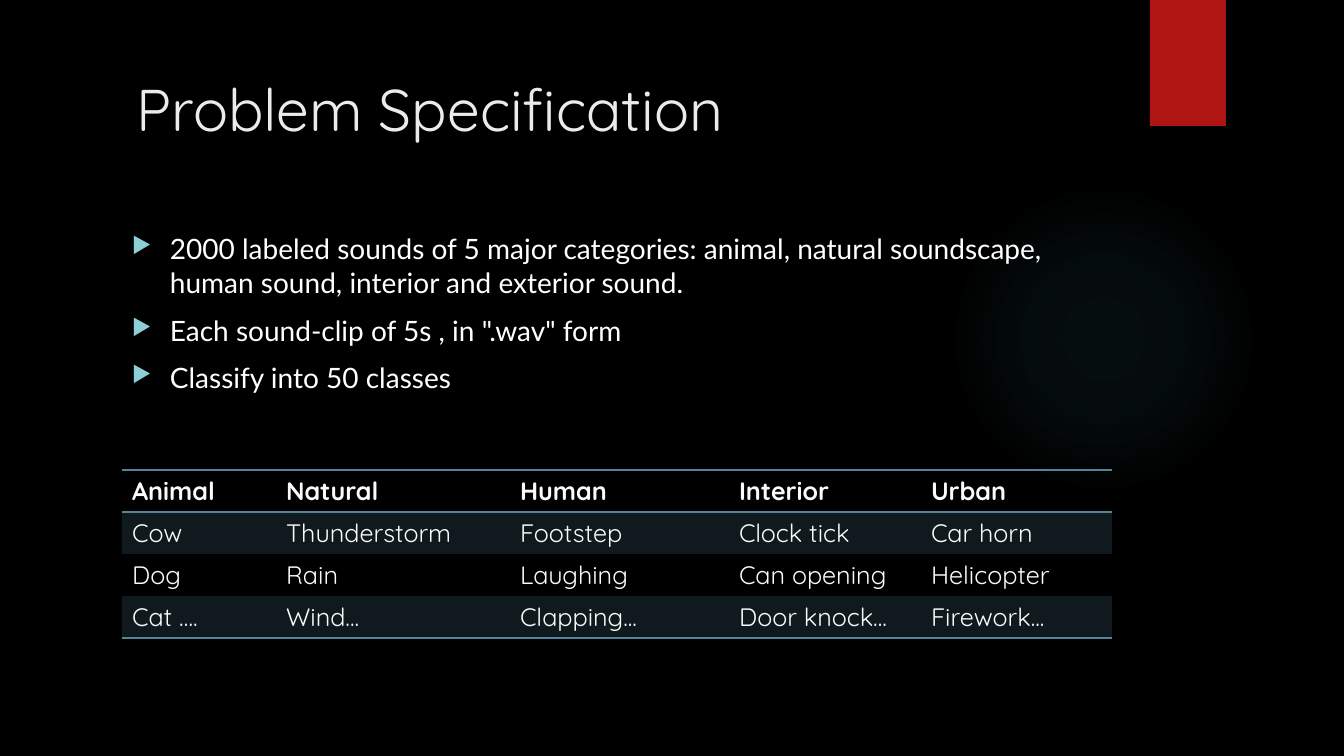
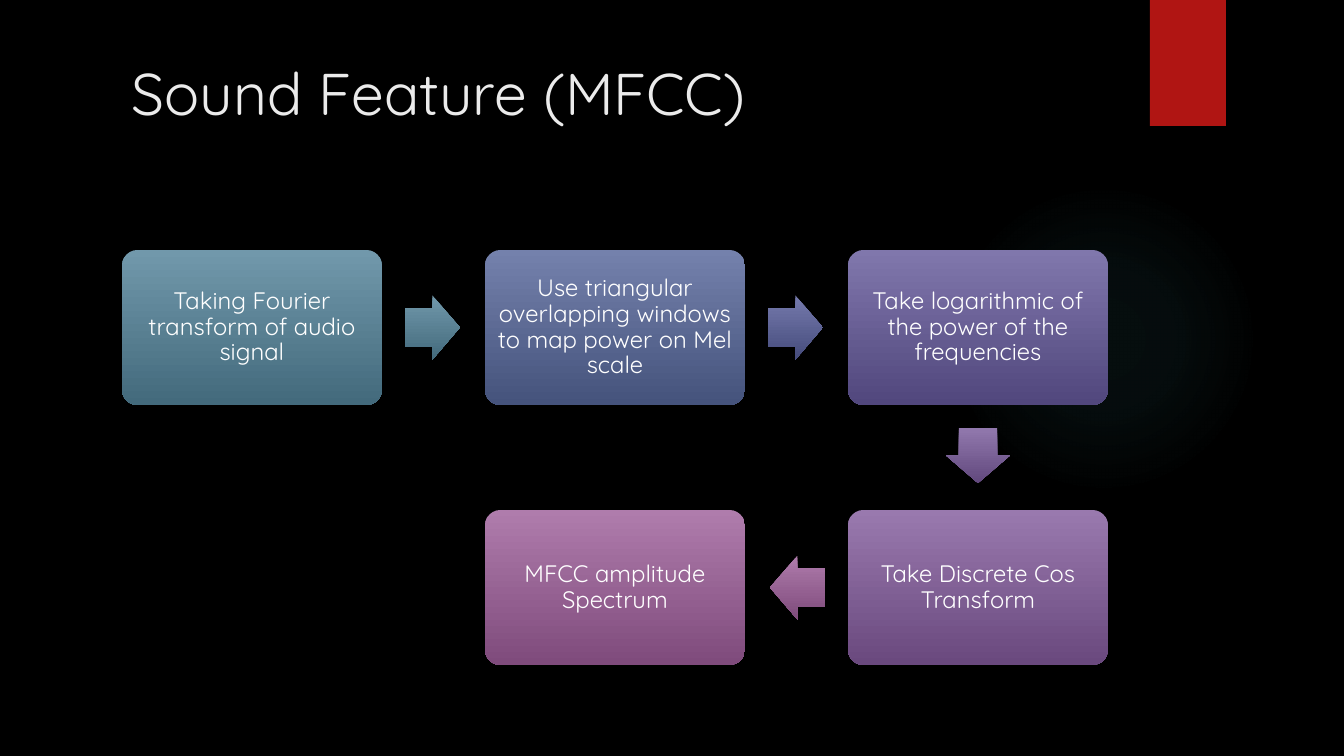
from lxml.etree import SubElement
from pptx import Presentation
from pptx.dml.color import RGBColor
from pptx.enum.shapes import MSO_SHAPE as SHAPE
from pptx.enum.text import MSO_ANCHOR as ANCHOR, PP_ALIGN as ALIGN
from pptx.oxml import parse_xml
from pptx.oxml.ns import nsdecls, qn
from pptx.util import Emu, Pt

SLIDE_W, SLIDE_H = 1344, 756
SCALE = 12192000 / SLIDE_W

BLACK = RGBColor(0x00, 0x00, 0x00)
WHITE = RGBColor(0xFF, 0xFF, 0xFF)
TITLE_COLOR = RGBColor(0xEB, 0xEB, 0xEB)
CELL_TEXT = RGBColor(0xFB, 0xFB, 0xFB)
RED = RGBColor(0xB0, 0x15, 0x13)
GLOW = RGBColor(0x50, 0xB9, 0xC1)
BULLET = RGBColor(0x8A, 0xD0, 0xD6)
STEEL = RGBColor(0x54, 0x84, 0x9A)

HEAD_FONT, BODY_FONT = "Quicksand", "Lato"
NO_STYLE = "{2D5ABB26-0587-4C30-8999-92F81FD0307C}"

GLOW_BOX = (949, 184, 310, 310)
GLOW_STOPS = [(0, 7), (36, 6), (69, 0)]
RIBBON_BOX = (1150, 0, 76, 126)

SPEC_TITLE = ("Problem Specification", (127, 68, 943, 160))
SPEC_BOX = (122, 227, 986, 230)
SPEC_POINTS = [
    "2000 labeled sounds of 5 major categories: animal, natural soundscape, "
    "human sound, interior and exterior sound.",
    'Each sound-clip of 5s , in ".wav" form',
    "Classify into 50 classes",
]
CLASS_LEFT, CLASS_TOP, CLASS_ROW = 122, 470, 42
CLASS_COLS = [154, 234, 219, 192, 191]
CLASSES = [
    ["Animal", "Natural", "Human", "Interior", "Urban"],
    ["Cow", "Thunderstorm", "Footstep", "Clock tick", "Car horn"],
    ["Dog", "Rain", "Laughing", "Can opening", "Helicopter"],
    ["Cat ….", "Wind...", "Clapping...", "Door knock...", "Firework..."],
]

MFCC_TITLE = ("Sound Feature (MFCC)", (122, 52, 1037, 154))
FLOW_LEFT, FLOW_TOP = 122, 250
STEP_W, STEP_H = 260, 155
PITCH_X, PITCH_Y = 363, 260
ARROW_LENGTH, ARROW_WIDTH, ARROW_GAP = 55, 64, 23
STEPS = [
    ("Taking Fourier transform of audio signal", (0, 0), ("7198AB", "436A7C")),
    ("Use triangular overlapping windows to map power on Mel scale",
     (1, 0), ("7481AC", "45537C")),
    ("Take logarithmic of the power of the frequencies",
     (2, 0), ("8077AC", "51477D")),
    ("Take Discrete Cos Transform", (2, 1), ("9979AE", "6A497E")),
    ("MFCC amplitude Spectrum", (1, 1), ("AF7CAC", "7F4B7C")),
]
ARROW_COLORS = [("7198AB", "436A7C"), ("757AAC", "464C7D"),
                ("9178AD", "62497E"), ("AF7CAC", "7F4B7C")]
ARROW_SHAPES = {(1, 0): SHAPE.RIGHT_ARROW, (0, 1): SHAPE.DOWN_ARROW,
                (-1, 0): SHAPE.LEFT_ARROW}


def px(length):
    return Emu(round(length * SCALE))


def place(bounds):
    return [px(length) for length in bounds]


def add_shape(page, kind, bounds, adjustments=()):
    shape = page.shapes.add_shape(kind, *place(bounds))
    shape.shadow.inherit = False
    shape.line.fill.background()
    for index, value in enumerate(adjustments):
        shape.adjustments[index] = value
    return shape


def add_span(para, text, size, font, color, bold=False):
    span = para.add_run()
    span.text = text
    span.font.size = Pt(size)
    span.font.name = font
    span.font.color.rgb = color
    span.font.bold = bold


def add_text_box(page, bounds):
    box = page.shapes.add_textbox(*place(bounds))
    box.text_frame.word_wrap = True
    return box.text_frame


def shade(shape, colors):
    shape.fill.gradient()
    shape.fill.gradient_angle = 270
    for stop, color in zip(shape.fill.gradient_stops, colors):
        stop.color.rgb = RGBColor.from_string(color)


def add_glow(page):
    glow = add_shape(page, SHAPE.OVAL, GLOW_BOX)
    stops = "".join(
        f'<a:gs pos="{pos * 1000}"><a:srgbClr val="{GLOW}">'
        f'<a:alpha val="{alpha * 1000}"/></a:srgbClr></a:gs>'
        for pos, alpha in GLOW_STOPS)
    gradient = parse_xml(
        f'<a:gradFill {nsdecls("a")}><a:gsLst>{stops}</a:gsLst>'
        '<a:path path="circle"><a:fillToRect l="50000" t="50000" '
        'r="50000" b="50000"/></a:path></a:gradFill>')
    glow._element.spPr.find(qn("a:prstGeom")).addnext(gradient)


def add_page(deck, title):
    page = deck.slides.add_slide(deck.slide_layouts[6])
    add_glow(page)
    ribbon = add_shape(page, SHAPE.RECTANGLE, RIBBON_BOX)
    ribbon.fill.solid()
    ribbon.fill.fore_color.rgb = RED
    text, bounds = title
    frame = add_text_box(page, bounds)
    add_span(frame.paragraphs[0], text, 42, HEAD_FONT, TITLE_COLOR)
    return page


def set_bullet(para):
    props = para._p.get_or_add_pPr()
    props.set("marL", str(px(38)))
    props.set("indent", str(-px(38)))
    color = SubElement(props, qn("a:buClr"))
    SubElement(color, qn("a:srgbClr"), val=str(BULLET))
    SubElement(props, qn("a:buSzPct"), val="80000")
    SubElement(props, qn("a:buChar"), char="▶")


def add_points(page):
    frame = add_text_box(page, SPEC_BOX)
    for index, point in enumerate(SPEC_POINTS):
        para = frame.add_paragraph() if index else frame.paragraphs[0]
        para.space_before = Pt(10)
        set_bullet(para)
        add_span(para, point, 20, BODY_FONT, WHITE)


def add_border(cell, side):
    props = cell._tc.get_or_add_tcPr()
    line = SubElement(props, qn(f"a:{side}"), w=str(Pt(1)))
    fill = SubElement(line, qn("a:solidFill"))
    SubElement(fill, qn("a:srgbClr"), val=str(STEEL))


def fill_band(cell):
    cell.fill.solid()
    cell.fill.fore_color.rgb = STEEL
    color = cell._tc.tcPr.find(f"{qn('a:solidFill')}/{qn('a:srgbClr')}")
    SubElement(color, qn("a:alpha"), val="20000")


def add_class_table(page):
    bounds = (CLASS_LEFT, CLASS_TOP, sum(CLASS_COLS), CLASS_ROW * len(CLASSES))
    table = page.shapes.add_table(
        len(CLASSES), len(CLASS_COLS), *place(bounds)).table
    table.horz_banding = False
    table._tbl.tblPr.find(qn("a:tableStyleId")).text = NO_STYLE
    for column, width in zip(table.columns, CLASS_COLS):
        column.width = px(width)
    last = len(CLASSES) - 1
    for row, names in enumerate(CLASSES):
        for col, name in enumerate(names):
            cell = table.cell(row, col)
            if row == 0:
                add_border(cell, "lnT")
            if row in (0, last):
                add_border(cell, "lnB")
            if row % 2:
                fill_band(cell)
            else:
                cell.fill.background()
            add_span(cell.text_frame.paragraphs[0], name, 18, HEAD_FONT,
                     CELL_TEXT, bold=row == 0)


def add_step(page, text, spot, colors):
    col, row = spot
    bounds = (FLOW_LEFT + col * PITCH_X, FLOW_TOP + row * PITCH_Y,
              STEP_W, STEP_H)
    step = add_shape(page, SHAPE.ROUNDED_RECTANGLE, bounds, [0.1])
    shade(step, colors)
    frame = step.text_frame
    frame.word_wrap = True
    frame.vertical_anchor = ANCHOR.MIDDLE
    frame.margin_left = frame.margin_right = px(7)
    frame.margin_top = frame.margin_bottom = px(7)
    para = frame.paragraphs[0]
    para.alignment = ALIGN.CENTER
    para.line_spacing = 0.9
    add_span(para, text, 17, HEAD_FONT, WHITE)


def add_flow_arrow(page, start, end, colors):
    dx, dy = end[0] - start[0], end[1] - start[1]
    reach = ARROW_GAP + ARROW_LENGTH / 2
    center_x = FLOW_LEFT + start[0] * PITCH_X + STEP_W / 2
    center_y = FLOW_TOP + start[1] * PITCH_Y + STEP_H / 2
    center_x += dx * (STEP_W / 2 + reach)
    center_y += dy * (STEP_H / 2 + reach)
    width, height = ((ARROW_LENGTH, ARROW_WIDTH) if dx
                     else (ARROW_WIDTH, ARROW_LENGTH))
    bounds = (center_x - width / 2, center_y - height / 2, width, height)
    arrow = add_shape(page, ARROW_SHAPES[dx, dy], bounds, [0.6, 0.5])
    shade(arrow, colors)


def main():
    deck = Presentation()
    deck.slide_width, deck.slide_height = px(SLIDE_W), px(SLIDE_H)
    backdrop = deck.slide_master.background.fill
    backdrop.solid()
    backdrop.fore_color.rgb = BLACK

    spec_page = add_page(deck, SPEC_TITLE)
    add_points(spec_page)
    add_class_table(spec_page)

    mfcc_page = add_page(deck, MFCC_TITLE)
    for step in STEPS:
        add_step(mfcc_page, *step)
    for before, after, colors in zip(STEPS, STEPS[1:], ARROW_COLORS):
        add_flow_arrow(mfcc_page, before[1], after[1], colors)

    deck.save("out.pptx")


if __name__ == "__main__":
    main()
